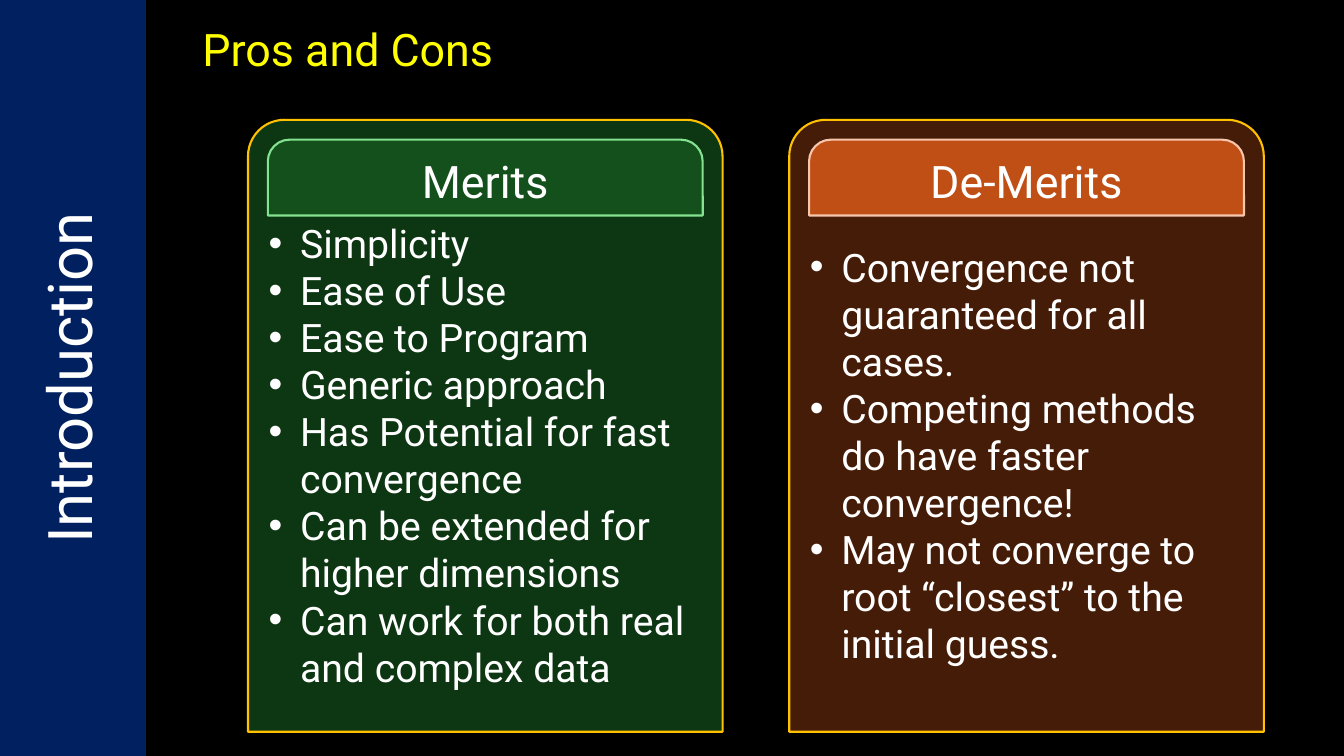
from dataclasses import dataclass

from lxml.etree import SubElement
from pptx import Presentation
from pptx.dml.color import RGBColor
from pptx.enum.shapes import MSO_SHAPE as SHAPE
from pptx.enum.text import MSO_ANCHOR as ANCHOR, MSO_AUTO_SIZE as AUTO, PP_ALIGN as ALIGN
from pptx.oxml.ns import qn
from pptx.util import Cm, Pt

BLACK = RGBColor(0x00, 0x00, 0x00)
WHITE = RGBColor(0xFF, 0xFF, 0xFF)
NAVY = RGBColor(0x00, 0x20, 0x60)
YELLOW = RGBColor(0xFF, 0xFF, 0x00)
GOLD = RGBColor(0xFF, 0xC0, 0x00)
DARK_GREEN = RGBColor(0x0D, 0x36, 0x12)
GREEN = RGBColor(0x13, 0x50, 0x1B)
LIGHT_GREEN = RGBColor(0x84, 0xE2, 0x91)
BROWN = RGBColor(0x45, 0x1C, 0x07)
ORANGE = RGBColor(0xC0, 0x4F, 0x15)
PEACH = RGBColor(0xF6, 0xC6, 0xAD)

FONT = "Roboto"
SLIDE_W, SLIDE_H = 33.87, 19.05
BAR_W = 3.68
PANEL_LEFT, PANEL_TOP, PANEL_W, PANEL_H = 6.25, 3.02, 11.96, 15.42
PANEL_PITCH = 13.64
HEADER_INSET, HEADER_H = 0.5, 1.91


@dataclass
class Panel:
    heading: str
    items: list[str]
    fill: RGBColor
    header_fill: RGBColor
    header_line: RGBColor


PANELS = [
    Panel("Merits", [
        "Simplicity",
        "Ease of Use",
        "Ease to Program",
        "Generic approach",
        "Has Potential for fast convergence",
        "Can be extended for higher dimensions",
        "Can work for both real and complex data",
    ], DARK_GREEN, GREEN, LIGHT_GREEN),
    Panel("De-Merits", [
        "Convergence not guaranteed for all cases.",
        "Competing methods do have faster convergence!",
        "May not converge to root “closest” to the initial guess.",
    ], BROWN, ORANGE, PEACH),
]


def place(sp, left: float, top: float, width: float, height: float) -> None:
    sp.left, sp.top, sp.width, sp.height = Cm(left), Cm(top), Cm(width), Cm(height)


def paint(sp, fill: RGBColor, line: RGBColor) -> None:
    sp.fill.solid()
    sp.fill.fore_color.rgb = fill
    sp.line.color.rgb = line
    sp.line.width = Pt(1.5)


def add_run(p, text: str, size: int, color: RGBColor = WHITE) -> None:
    r = p.add_run()
    r.text = text
    r.font.name = FONT
    r.font.size = Pt(size)
    r.font.color.rgb = color


def add_bullet(p, text: str) -> None:
    pPr = p._p.get_or_add_pPr()
    pPr.set("marL", str(Cm(0.79)))
    pPr.set("indent", str(Cm(-0.79)))
    p.space_before = Pt(0)
    SubElement(pPr, qn("a:buFont")).set("typeface", "Arial")
    SubElement(pPr, qn("a:buChar")).set("char", "•")
    add_run(p, text, 28)


def draw_title(sp) -> None:
    place(sp, (BAR_W - SLIDE_H) / 2, (SLIDE_H - BAR_W) / 2, SLIDE_H, BAR_W)
    sp.rotation = 270
    sp.fill.solid()
    sp.fill.fore_color.rgb = NAVY
    tf = sp.text_frame
    tf.auto_size = AUTO.NONE
    tf.vertical_anchor = ANCHOR.MIDDLE
    p = tf.paragraphs[0]
    p.alignment = ALIGN.CENTER
    p.line_spacing = 0.9
    add_run(p, "Introduction", 44)


def draw_subtitle(slide) -> None:
    sp = slide.shapes.add_textbox(Cm(4.85), Cm(0.43), Cm(18.21), Cm(1.63))
    tf = sp.text_frame
    tf.word_wrap = True
    add_run(tf.paragraphs[0], "Pros and Cons", 32, YELLOW)


def draw_list(sp, panel: Panel, left: float) -> None:
    place(sp, left, PANEL_TOP, PANEL_W, PANEL_H)
    geom = SubElement(sp._element.spPr, qn("a:prstGeom"))
    geom.set("prst", "round2SameRect")
    SubElement(geom, qn("a:avLst"))
    sp.adjustments[0] = 0.077
    sp.adjustments[1] = 0
    paint(sp, panel.fill, GOLD)
    tf = sp.text_frame
    tf.auto_size = AUTO.NONE
    tf.vertical_anchor = ANCHOR.MIDDLE
    tf.margin_top = Cm(1.31)
    for i, item in enumerate(panel.items):
        add_bullet(tf.add_paragraph() if i else tf.paragraphs[0], item)


def draw_header(slide, panel: Panel, left: float) -> None:
    sp = slide.shapes.add_shape(
        SHAPE.ROUND_2_SAME_RECTANGLE, Cm(left + HEADER_INSET), Cm(PANEL_TOP + HEADER_INSET),
        Cm(PANEL_W - 2 * HEADER_INSET), Cm(HEADER_H))
    sp.shadow.inherit = False
    sp.adjustments[0] = 0.287
    sp.adjustments[1] = 0
    paint(sp, panel.header_fill, panel.header_line)
    tf = sp.text_frame
    tf.vertical_anchor = ANCHOR.MIDDLE
    p = tf.paragraphs[0]
    p.alignment = ALIGN.CENTER
    add_run(p, panel.heading, 32)


def main() -> None:
    prs = Presentation()
    prs.slide_width, prs.slide_height = Cm(SLIDE_W), Cm(SLIDE_H)
    slide = prs.slides.add_slide(prs.slide_layouts.get_by_name("Two Content"))
    slide.background.fill.solid()
    slide.background.fill.fore_color.rgb = BLACK
    title, *bodies = list(slide.placeholders)[:3]
    draw_title(title)
    draw_subtitle(slide)
    for i, (panel, body) in enumerate(zip(PANELS, bodies)):
        left = PANEL_LEFT + i * PANEL_PITCH
        draw_list(body, panel, left)
        draw_header(slide, panel, left)
    prs.save("out.pptx")


if __name__ == "__main__":
    main()
